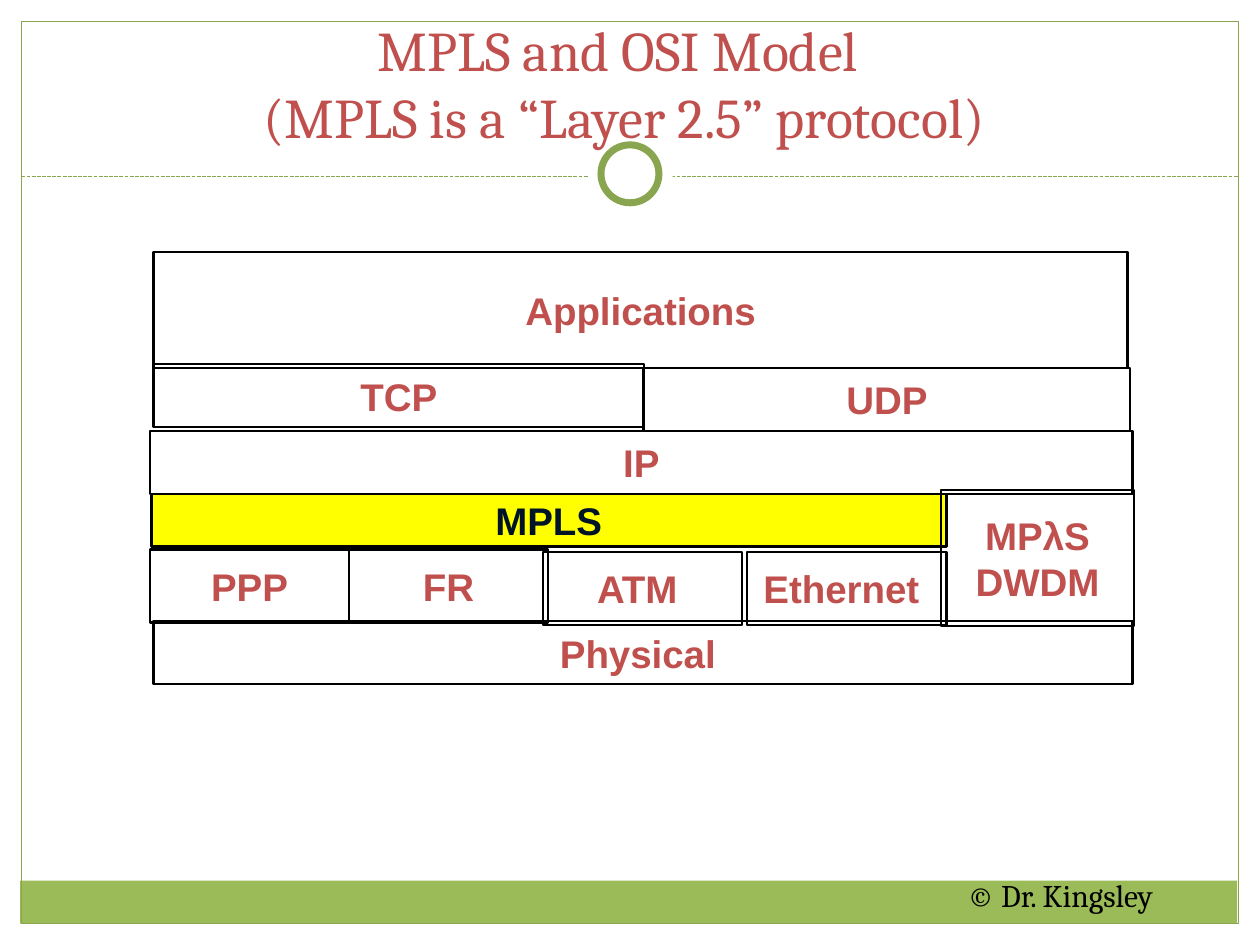
from dataclasses import dataclass
from typing import Optional

from lxml.etree import SubElement
from pptx import Presentation
from pptx.dml.color import RGBColor
from pptx.enum.dml import MSO_LINE
from pptx.enum.shapes import MSO_CONNECTOR as Connector, MSO_SHAPE as Preset
from pptx.enum.text import MSO_ANCHOR as Anchor, PP_ALIGN as Align
from pptx.oxml.ns import qn
from pptx.util import Inches, Pt


@dataclass(frozen=True)
class Theme:
    white: str = "FFFFFF"
    black: str = "000000"
    band: str = "9BBB59"
    frame: str = "89A54F"
    accent: str = "C0504D"
    highlight: str = "FFFF00"
    highlight_text: str = "001428"
    heading_font: str = "Cambria"
    label_font: str = "Arial"
    title_size: int = 32
    label_size: int = 22
    footer_size: int = 18
    thin: float = 0.75
    box_line: float = 1.5
    ring_line: float = 4


@dataclass(frozen=True)
class Box:
    left: float
    top: float
    width: float
    height: float


@dataclass(frozen=True)
class Layer:
    text: str
    box: Box
    fill: Optional[str] = None
    color: str = Theme.accent


THEME = Theme()
ROW = 0.5
LINK_WIDTH, LINK_HEIGHT = 1.58, 0.58

LAYERS = [
    Layer("Physical ", Box(1.22, 4.93, 7.77, ROW)),
    Layer("IP", Box(1.19, 3.42, 7.8, ROW)),
    Layer("Applications", Box(1.22, 2, 7.73, 0.92)),
    Layer("TCP", Box(1.22, 2.89, 3.89, ROW)),
    Layer("UDP", Box(5.11, 2.92, 3.86, ROW)),
    Layer("PPP", Box(1.19, 4.36, LINK_WIDTH, LINK_HEIGHT)),
    Layer("FR", Box(2.77, 4.36, LINK_WIDTH, LINK_HEIGHT)),
    Layer("ATM ", Box(4.31, 4.38, LINK_WIDTH, LINK_HEIGHT)),
    Layer("MPLS", Box(1.2, 3.92, 6.31, 0.42), THEME.highlight, THEME.highlight_text),
    Layer("Ethernet ", Box(5.93, 4.38, LINK_WIDTH, LINK_HEIGHT)),
    Layer("MPλS\nDWDM", Box(7.47, 3.89, 1.53, 1.08)),
]


def lengths(box: Box) -> list:
    return [Inches(value) for value in (box.left, box.top, box.width, box.height)]


def write_text(shape, text: str, *, font: str, size: float, color: str,
               bold: bool = False, align=Align.CENTER, anchor=Anchor.MIDDLE,
               wrap: bool = False) -> None:
    frame = shape.text_frame
    frame.text = text
    frame.word_wrap = wrap
    frame.vertical_anchor = anchor
    for paragraph in frame.paragraphs:
        paragraph.alignment = align
        for run in paragraph.runs:
            run.font.name = font
            run.font.size = Pt(size)
            run.font.bold = bold
            run.font.color.rgb = RGBColor.from_string(color)


def draw_shape(slide, preset, box: Box, *, fill: Optional[str] = None,
               line: Optional[str] = None, weight: float = THEME.thin):
    shape = slide.shapes.add_shape(preset, *lengths(box))
    shape.shadow.inherit = False
    if fill:
        shape.fill.solid()
        shape.fill.fore_color.rgb = RGBColor.from_string(fill)
    else:
        shape.fill.background()
    if line:
        shape.line.color.rgb = RGBColor.from_string(line)
        shape.line.width = Pt(weight)
    else:
        shape.line.fill.background()
    return shape


def draw_divider(slide, left: float, right: float, top: float) -> None:
    divider = slide.shapes.add_connector(
        Connector.STRAIGHT, Inches(left), Inches(top), Inches(right), Inches(top))
    divider.line.color.rgb = RGBColor.from_string(THEME.frame)
    divider.line.width = Pt(THEME.thin)
    divider.line.dash_style = MSO_LINE.SQUARE_DOT
    SubElement(divider._element.spPr, qn("a:effectLst"))


def draw_layer(slide, layer: Layer) -> None:
    shape = draw_shape(slide, Preset.RECTANGLE, layer.box, fill=layer.fill,
                       line=THEME.black, weight=THEME.box_line)
    write_text(shape, layer.text, font=THEME.label_font, size=THEME.label_size,
               color=layer.color, bold=True)


def draw_frame(slide) -> None:
    draw_shape(slide, Preset.RECTANGLE, Box(0.16, 6.99, 9.66, 0.34), fill=THEME.band)
    draw_shape(slide, Preset.RECTANGLE, Box(0.17, 0.17, 9.66, 7.16), line=THEME.frame)
    draw_divider(slide, 0.17, 9.83, 1.4)
    draw_shape(slide, Preset.OVAL, Box(4.67, 1.05, 0.67, 0.67), fill=THEME.white)
    draw_shape(slide, Preset.OVAL, Box(4.77, 1.15, 0.46, 0.46), fill=THEME.white,
               line=THEME.frame, weight=THEME.ring_line)


def main() -> None:
    presentation = Presentation()
    presentation.slide_width = Inches(10)
    presentation.slide_height = Inches(7.5)
    slide = presentation.slides.add_slide(presentation.slide_layouts[6])

    draw_frame(slide)
    title = slide.shapes.add_textbox(*lengths(Box(0.08, 0.17, 9.75, 1.07)))
    write_text(title, "MPLS and OSI Model \v(MPLS is a “Layer 2.5” protocol)",
               font=THEME.heading_font, size=THEME.title_size, color=THEME.accent,
               anchor=Anchor.BOTTOM, wrap=True)
    for layer in LAYERS:
        draw_layer(slide, layer)
    footer = slide.shapes.add_textbox(*lengths(Box(7.58, 6.9, 1.88, 0.4)))
    write_text(footer, "© Dr. Kingsley", font=THEME.heading_font,
               size=THEME.footer_size, color=THEME.black, align=Align.LEFT,
               anchor=Anchor.TOP)

    presentation.save("out.pptx")


if __name__ == "__main__":
    main()
